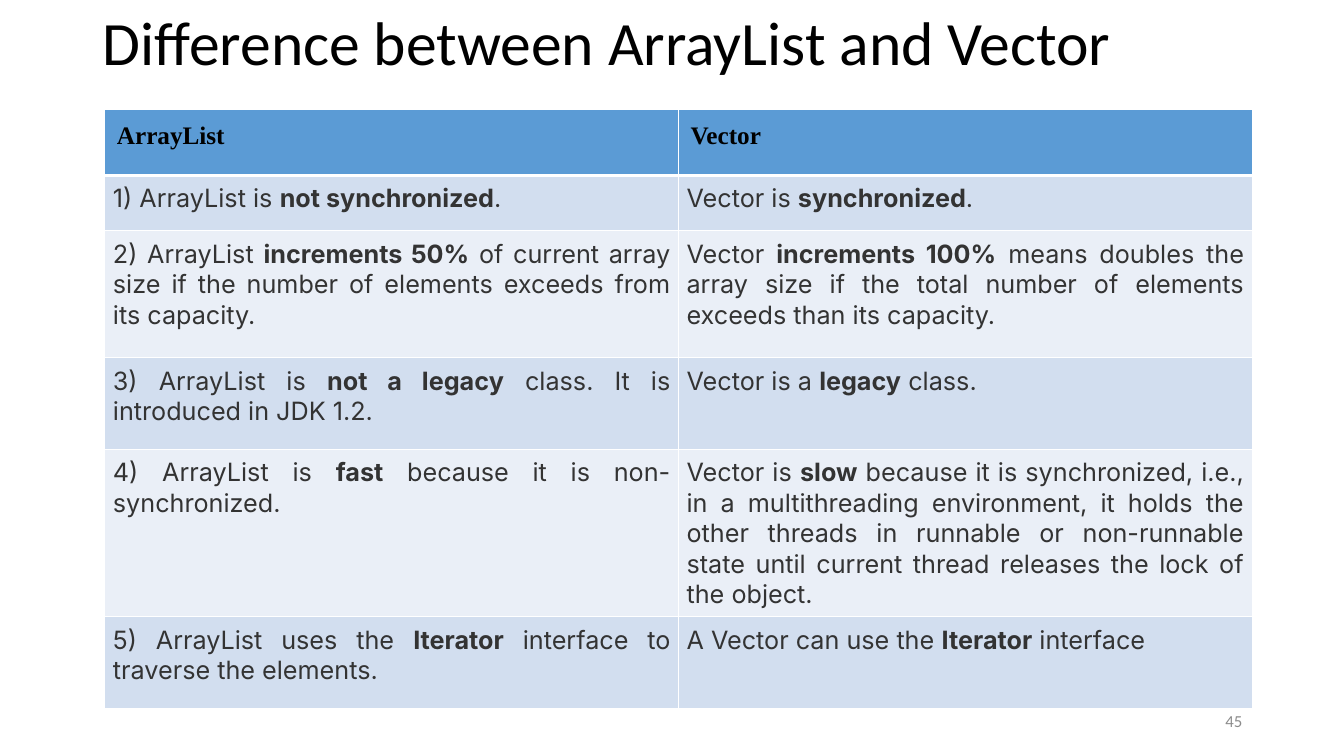
from dataclasses import dataclass

from lxml.etree import SubElement as Sub
from pptx import Presentation
from pptx.dml.color import RGBColor as Rgb
from pptx.enum.text import MSO_ANCHOR as Anchor, PP_ALIGN as Align
from pptx.oxml.ns import qn
from pptx.util import Inches, Pt


@dataclass(frozen=True)
class Theme:
    black: str = "000000"
    ink: str = "333333"
    gray: str = "8C8C8C"
    white: str = "FFFFFF"
    head: str = "5B9BD5"
    bands: tuple = ("D2DEEF", "EAEFF7")
    title: int = 44
    body: int = 18
    small: int = 12
    sans: str = "Calibri"
    serif: str = "Times New Roman"
    text: str = "Inter"


HEADS = ("ArrayList", "Vector")
# Asterisks enclose the bold words.
ROWS = (
    ("1) ArrayList is *not synchronized*.",
     "Vector is *synchronized*."),
    ("2) ArrayList *increments 50%* of current array size if the number of "
     "elements exceeds from its capacity.",
     "Vector *increments 100%* means doubles the array size if the total "
     "number of elements exceeds than its capacity."),
    ("3) ArrayList is *not a legacy* class. It is introduced in JDK 1.2.",
     "Vector is a *legacy* class."),
    ("4) ArrayList is *fast* because it is non-synchronized.",
     "Vector is *slow* because it is synchronized, i.e., in a multithreading "
     "environment, it holds the other threads in runnable or non-runnable "
     "state until current thread releases the lock of the object."),
    ("5) ArrayList uses the *Iterator* interface to traverse the elements.",
     "A Vector can use the *Iterator* interface"),
)
TALL = (0.65, 0.55, 1.26, 0.91, 1.61, 0.91)


class Deck:
    def __init__(self, theme):
        self.theme = theme
        self.show = Presentation()
        self.show.slide_width = Inches(13.33)
        self.show.slide_height = Inches(7.5)
        self.slide = self.show.slides.add_slide(self.show.slide_layouts[6])

    def style(self, para, face, size, color, align=Align.LEFT):
        para.alignment = align
        font = para.font
        font.name, font.size = face, Pt(size)
        font.color.rgb = Rgb.from_string(color)

    def label(self, box, text, size, color, align=Align.LEFT):
        frame = self.slide.shapes.add_textbox(*map(Inches, box)).text_frame
        frame.word_wrap = True
        frame.vertical_anchor = Anchor.MIDDLE
        para = frame.paragraphs[0]
        para.text = text
        self.style(para, self.theme.sans, size, color, align)
        return para

    def edge(self, cell, base):
        """Draw white cell borders; base is the bottom width in points."""
        props = cell._tc.get_or_add_tcPr()
        for side, width in zip("LRTB", (1, 1, 1, base)):
            line = Sub(props, qn(f"a:ln{side}"), w=str(Pt(width)))
            fill = Sub(line, qn("a:solidFill"))
            Sub(fill, qn("a:srgbClr"), val=self.theme.white)

    def cell(self, cell, text, fill, head):
        theme = self.theme
        self.edge(cell, 3 if head else 1)
        cell.fill.solid()
        cell.fill.fore_color.rgb = Rgb.from_string(fill)
        pad = Inches(0.12 if head else 0.08)
        cell.margin_left = cell.margin_right = pad
        cell.margin_top = cell.margin_bottom = pad
        para = cell.text_frame.paragraphs[0]
        for spot, part in enumerate(text.split("*")):
            run = para.add_run()
            run.text = part
            run.font.bold = head or spot % 2 == 1
        if head:
            self.style(para, theme.serif, theme.body, theme.black)
        else:
            self.style(para, theme.text, theme.body, theme.ink, Align.JUSTIFY)

    def table(self, box, heads, rows, tall):
        grid = self.slide.shapes.add_table(
            len(tall), len(heads), *map(Inches, box)).table
        for row, size in zip(grid.rows, tall):
            row.height = Inches(size)
        for y, texts in enumerate((heads, *rows)):
            fill = self.theme.bands[(y - 1) % 2] if y else self.theme.head
            for x, text in enumerate(texts):
                self.cell(grid.cell(y, x), text, fill, y == 0)


def main():
    theme = Theme()
    deck = Deck(theme)
    title = deck.label((0.92, 0.07, 11.5, 0.77),
                       "Difference between ArrayList and Vector",
                       theme.title, theme.black)
    title.line_spacing = 0.9
    deck.table((1.04, 1.09, 11.38, sum(TALL)), HEADS, ROWS, TALL)
    deck.label((9.42, 6.95, 3, 0.4), "45", theme.small, theme.gray, Align.RIGHT)
    deck.show.save("out.pptx")


if __name__ == "__main__":
    main()
